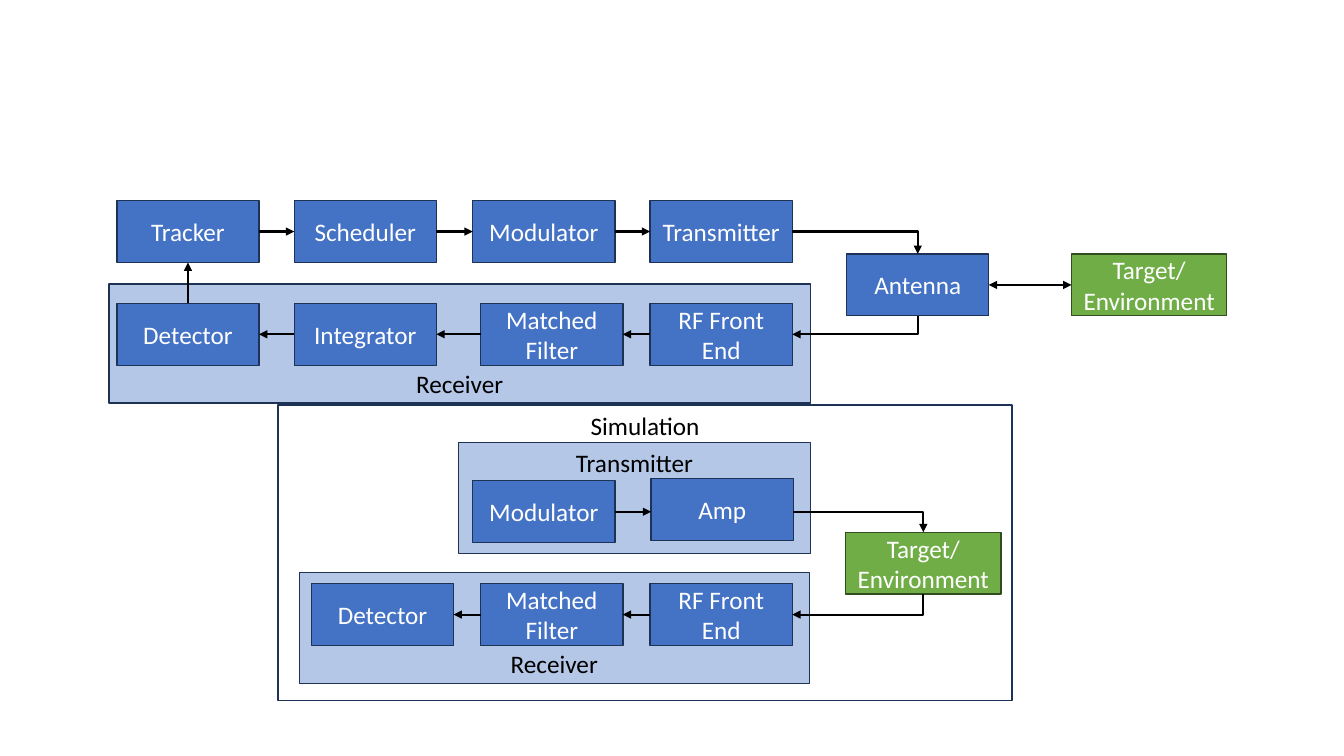
from dataclasses import dataclass

from lxml.etree import SubElement
from pptx import Presentation
from pptx.dml.color import RGBColor
from pptx.enum.shapes import MSO_CONNECTOR as Route, MSO_SHAPE
from pptx.enum.text import MSO_ANCHOR as Anchor, PP_ALIGN
from pptx.oxml.ns import qn
from pptx.util import Pt

BLUE, PALE, GREEN = "4472C4", "B4C7E7", "70AD47"
WHITE, BLACK = "FFFFFF", "000000"
NAVY, DARK_GREEN = "1E3256", "314C1F"
TOP, LEFT, BOTTOM, RIGHT = range(4)
BLOCK_WIDTH, TARGET_WIDTH, BLOCK_HEIGHT = 101.5, 110.9, 44.2


@dataclass
class Box:
    key: str
    text: str
    left: float
    top: float
    width: float = BLOCK_WIDTH
    height: float = BLOCK_HEIGHT
    fill: str = BLUE
    line: str = NAVY
    ink: str = WHITE
    anchor: Anchor = Anchor.MIDDLE

    def side(self, site: int) -> tuple[float, float]:
        """Middle of one side of the box."""
        across = {LEFT: 0, RIGHT: 1}.get(site, 0.5)
        down = {TOP: 0, BOTTOM: 1}.get(site, 0.5)
        return self.left + across * self.width, self.top + down * self.height


@dataclass
class Link:
    start: str
    start_site: int
    end: str
    end_site: int
    arrows: tuple[str, ...] = ("tailEnd",)
    bent: bool = False
    start_drop: float = 0  # distance below the middle of the side
    end_drop: float = 0


def panel(key: str, text: str, left: float, top: float, width: float,
          height: float, fill: str, anchor: Anchor) -> Box:
    return Box(key, text, left, top, width, height, fill, NAVY, BLACK, anchor)


def target(key: str, left: float, top: float) -> Box:
    return Box(key, "Target/ Environment", left, top, TARGET_WIDTH,
               fill=GREEN, line=DARK_GREEN)


def color(value: str) -> RGBColor:
    return RGBColor.from_string(value)


def draw_box(slide, box: Box):
    shape = slide.shapes.add_shape(MSO_SHAPE.RECTANGLE, Pt(box.left), Pt(box.top),
                                   Pt(box.width), Pt(box.height))
    shape.shadow.inherit = False
    shape.fill.solid()
    shape.fill.fore_color.rgb = color(box.fill)
    shape.line.color.rgb = color(box.line)
    shape.line.width = Pt(1)
    text_frame = shape.text_frame
    text_frame.word_wrap = True
    text_frame.vertical_anchor = box.anchor
    text_frame.text = box.text
    paragraph = text_frame.paragraphs[0]
    paragraph.alignment = PP_ALIGN.CENTER
    font = paragraph.runs[0].font
    font.name, font.size = "Calibri", Pt(18)
    font.color.rgb = color(box.ink)
    return shape


def draw_link(slide, link: Link, boxes: dict, shapes: dict) -> None:
    start_x, start_y = boxes[link.start].side(link.start_site)
    end_x, end_y = boxes[link.end].side(link.end_site)
    connector = slide.shapes.add_connector(
        Route.ELBOW if link.bent else Route.STRAIGHT,
        Pt(start_x), Pt(start_y + link.start_drop),
        Pt(end_x), Pt(end_y + link.end_drop))
    if not link.start_drop:
        connector.begin_connect(shapes[link.start], link.start_site)
    if not link.end_drop:
        connector.end_connect(shapes[link.end], link.end_site)
    connector.line.color.rgb = color(BLACK)
    connector.line.width = Pt(1.5)

    # Arrowheads, single-corner route and no shadow
    properties = connector._element.spPr
    for arrow in link.arrows:
        SubElement(properties.find(qn("a:ln")), qn(f"a:{arrow}"), type="triangle")
    if link.bent:
        properties.find(qn("a:prstGeom")).set("prst", "bentConnector2")
    SubElement(properties, qn("a:effectLst"))


# Columns and rows
FIRST, SECOND, THIRD, MATCHED, FOURTH = 83.5, 210.2, 337.7, 343.4, 464.4
SEND, RECEIVE, SIM_SEND, SIM_RECEIVE = 143.3, 216.7, 343.4, 416.9
ANTENNA_TOP = 181.4
AMP_RISE = 1.4  # the amp sits slightly above its row

BOXES = [
    # Panels
    panel("simulation", "Simulation", 198.7, 289.4, 524.2, 211, WHITE, Anchor.TOP),
    panel("sim sender", "Transmitter", 327.6, 316.1, 251.3, 79.2, PALE, Anchor.TOP),
    panel("receiver", "Receiver", 77.8, 203, 501.1, 85, PALE, Anchor.BOTTOM),
    panel("sim receiver", "Receiver", 213.8, 409, 364.3, 79.2, PALE, Anchor.BOTTOM),
    # Radar
    Box("tracker", "Tracker", FIRST, SEND),
    Box("scheduler", "Scheduler", SECOND, SEND),
    Box("modulator", "Modulator", THIRD, SEND),
    Box("transmitter", "Transmitter", FOURTH, SEND),
    Box("antenna", "Antenna", 604.8, ANTENNA_TOP),
    target("target", 765.4, ANTENNA_TOP),
    Box("front end", "RF Front End", FOURTH, RECEIVE),
    Box("filter", "Matched Filter", MATCHED, RECEIVE),
    Box("integrator", "Integrator", SECOND, RECEIVE),
    Box("detector", "Detector", FIRST, RECEIVE),
    # Simulation
    Box("sim modulator", "Modulator", THIRD, SIM_SEND),
    Box("amp", "Amp", FOURTH + 0.7, SIM_SEND - AMP_RISE),
    target("sim target", 604.1, 380.2),
    Box("sim front end", "RF Front End", FOURTH, SIM_RECEIVE),
    Box("sim filter", "Matched Filter", MATCHED, SIM_RECEIVE),
    Box("sim detector", "Detector", 222.5, SIM_RECEIVE),
]

RIGHTWARD = ["tracker", "scheduler", "modulator", "transmitter"]
LEFTWARD = ["front end", "filter", "integrator", "detector"]
SIM_LEFTWARD = ["sim front end", "sim filter", "sim detector"]
HEAD, BOTH = ("headEnd",), ("headEnd", "tailEnd")

LINKS = [
    *(Link(a, RIGHT, b, LEFT) for a, b in zip(RIGHTWARD, RIGHTWARD[1:])),
    *(Link(a, LEFT, b, RIGHT) for chain in (LEFTWARD, SIM_LEFTWARD)
      for a, b in zip(chain, chain[1:])),
    Link("detector", TOP, "tracker", BOTTOM),
    Link("antenna", RIGHT, "target", LEFT, BOTH),
    Link("transmitter", RIGHT, "antenna", TOP, bent=True),
    Link("front end", RIGHT, "antenna", BOTTOM, HEAD, bent=True),
    Link("sim modulator", RIGHT, "amp", LEFT, end_drop=AMP_RISE),
    Link("amp", RIGHT, "sim target", TOP, bent=True, start_drop=AMP_RISE),
    Link("sim front end", RIGHT, "sim target", BOTTOM, HEAD, bent=True),
]


def main() -> None:
    presentation = Presentation()
    presentation.slide_width, presentation.slide_height = Pt(960), Pt(540)
    slide = presentation.slides.add_slide(presentation.slide_layouts[6])
    boxes = {box.key: box for box in BOXES}
    shapes = {key: draw_box(slide, box) for key, box in boxes.items()}
    for link in LINKS:
        draw_link(slide, link, boxes, shapes)
    presentation.save("out.pptx")


if __name__ == "__main__":
    main()
